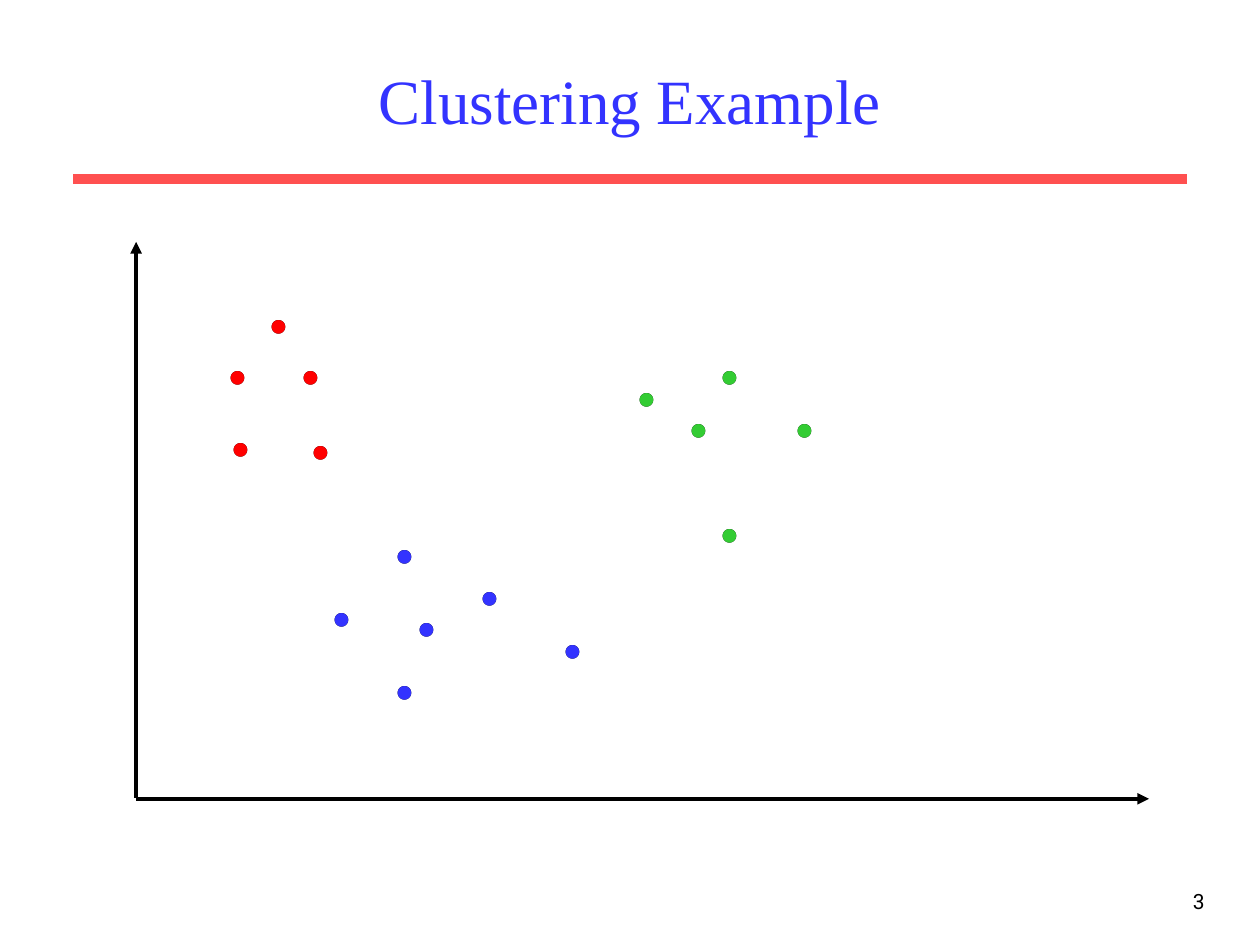
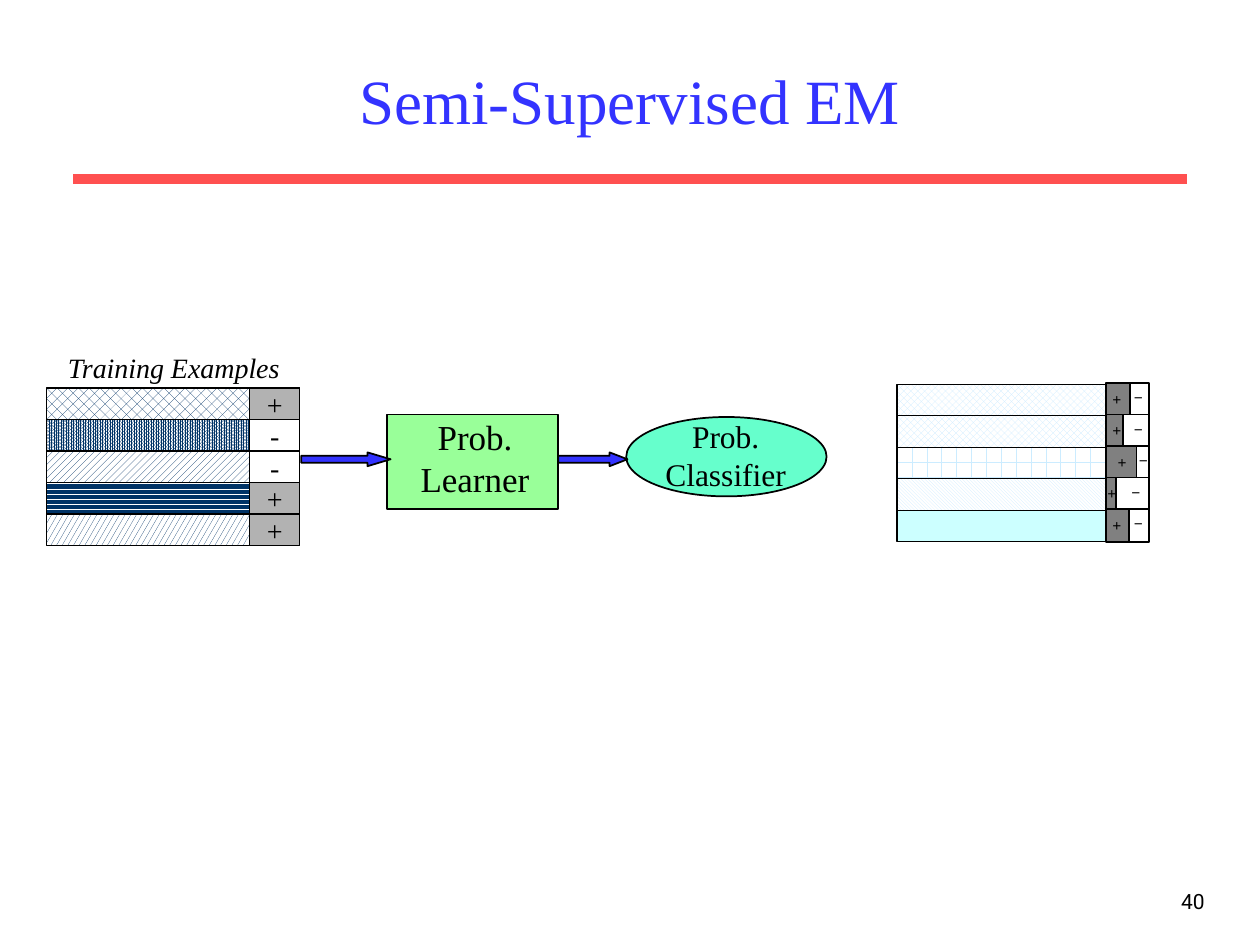
from pptx import Presentation
from pptx.dml.color import RGBColor
from pptx.enum.dml import MSO_PATTERN as PATTERN
from pptx.enum.shapes import MSO_CONNECTOR as CONNECTOR, MSO_SHAPE as SHAPE
from pptx.enum.text import MSO_ANCHOR as ANCHOR, PP_ALIGN as ALIGN
from pptx.oxml.ns import qn
from pptx.util import Inches, Pt
from lxml.etree import SubElement

BLACK = RGBColor(0x00, 0x00, 0x00)
WHITE = RGBColor(0xFF, 0xFF, 0xFF)
BLUE = RGBColor(0x33, 0x33, 0xFF)
RED = RGBColor(0xFF, 0x00, 0x00)
GREEN = RGBColor(0x33, 0xCC, 0x33)
BAND = RGBColor(0xFF, 0x50, 0x50)
NAVY = RGBColor(0x00, 0x33, 0x66)
PALE_BLUE = RGBColor(0xCC, 0xEC, 0xFF)
PALE_CYAN = RGBColor(0xCC, 0xFF, 0xFF)
LIGHT_GREY = RGBColor(0xB2, 0xB2, 0xB2)
DARK_GREY = RGBColor(0x80, 0x80, 0x80)
LEARNER_GREEN = RGBColor(0x99, 0xFF, 0x99)
CLASSIFIER_TEAL = RGBColor(0x66, 0xFF, 0xCC)

SERIF = "Times New Roman"
ROW_H = 0.25

CLUSTERS = {
    RED: [(1.7, 2.65), (1.67, 2.08), (2.33, 2.67), (2.25, 2.08), (2, 1.67)],
    BLUE: [(2.5, 4), (3.67, 3.83), (3, 4.58), (4.33, 4.25), (3.17, 4.08),
           (3, 3.5)],
    GREEN: [(4.92, 2.25), (6.17, 2.5), (5.33, 2.5), (5.58, 2.08),
            (5.58, 3.33)],
}

# Preset pattern name and label
TRAINING_EXAMPLES = [
    ("pct40", "+"),
    ("pct90", "-"),
    ("wdUpDiag", "-"),
    ("dkHorz", "+"),
    ("lgConfetti", "+"),
]

# Preset pattern name, x of the +/− split, left edges of the "+" and "−" labels
SOFT_LABELS = [
    ("lgCheck", 8.97, 8.73, 8.9),
    ("openDmnd", 8.91, 8.73, 8.9),
    ("horzBrick", 9.02, 8.77, 8.94),
    ("dkDnDiag", 8.86, 8.69, 8.88),
    (None, 8.96, 8.73, 8.9),
]


def write(tf, text, size=16, color=BLACK, font=SERIF, align=ALIGN.CENTER,
          anchor=ANCHOR.TOP, bold=False, italic=False, wrap=False):
    """Fill a text frame, one paragraph for each line of text."""
    tf.word_wrap = wrap
    tf.vertical_anchor = anchor
    for i, line in enumerate(text.split("\n")):
        p = tf.add_paragraph() if i else tf.paragraphs[0]
        p.alignment = align
        r = p.add_run()
        r.text = line
        r.font.name = font
        r.font.size = Pt(size)
        r.font.color.rgb = color
        r.font.bold = bold
        r.font.italic = italic


def add_text(slide, x, y, w, h, text, **fmt):
    box = slide.shapes.add_textbox(Inches(x), Inches(y), Inches(w), Inches(h))
    write(box.text_frame, text, **fmt)


def add_box(slide, x, y, w, h, color, kind=SHAPE.RECTANGLE, pattern=None,
            line_width=0.75):
    """Add an outlined shape with a solid fill, or a pattern on white."""
    sp = slide.shapes.add_shape(kind, Inches(x), Inches(y), Inches(w), Inches(h))
    sp.shadow.inherit = False
    if pattern is None:
        sp.fill.solid()
        sp.fill.fore_color.rgb = color
    else:
        sp.fill.patterned()
        sp.fill.pattern = PATTERN.from_xml(pattern)
        sp.fill.fore_color.rgb = color
        sp.fill.back_color.rgb = WHITE
    sp.line.color.rgb = BLACK
    sp.line.width = Pt(line_width)
    return sp


def add_line(slide, x1, y1, x2, y2, color, width, arrow=False):
    line = slide.shapes.add_connector(
        CONNECTOR.STRAIGHT, Inches(x1), Inches(y1), Inches(x2), Inches(y2))
    line.line.color.rgb = color
    line.line.width = Pt(width)
    if arrow:
        SubElement(line.get_or_add_ln(), qn("a:tailEnd"), type="triangle")
    SubElement(line.element.spPr, qn("a:effectLst"))


def add_block_arrow(slide, x, w, head):
    arrow = add_box(slide, x, 3.59, w, 0.11, BLUE, SHAPE.RIGHT_ARROW,
                    line_width=1)
    arrow.adjustments[1] = head


def add_slide(prs, title, number):
    """Add a slide with the shared title, band and page number."""
    slide = prs.slides.add_slide(prs.slide_layouts[5])
    add_line(slide, 0.58, 1.42, 9.42, 1.42, BAND, 6)
    sp = slide.shapes.title
    sp.left, sp.top = Inches(0.75), Inches(0.25)
    sp.width, sp.height = Inches(8.5), Inches(1.08)
    write(sp.text_frame, title, size=36, color=BLUE, anchor=ANCHOR.MIDDLE,
          wrap=True)
    add_text(slide, 7.58, 7, 2.08, 0.5, str(number), size=12, font="Roboto",
             align=ALIGN.RIGHT, wrap=True)
    return slide


def add_dot(slide, x, y, color):
    """Add a coloured point on a black one, which gives it a dark rim."""
    for layer in (BLACK, color):
        add_text(slide, x, y, 0.43, 1.2, ".", size=66, color=layer)


def add_training_examples(slide):
    add_text(slide, 0.43, 2.73, 1.9, 0.37, "Training Examples", italic=True)
    for i, (pattern, label) in enumerate(TRAINING_EXAMPLES):
        y = 3.08 + i * ROW_H
        add_box(slide, 0.37, y, 2.01, ROW_H, NAVY, pattern=pattern)
        cell = add_box(slide, 1.98, y, 0.4, ROW_H,
                       LIGHT_GREY if label == "+" else WHITE)
        write(cell.text_frame, label, italic=True, anchor=ANCHOR.MIDDLE)


def add_soft_labels(slide):
    """Add the examples whose labels are split by probability."""
    left, right = 8.78, 9.12
    for i, (pattern, split, plus_x, minus_x) in enumerate(SOFT_LABELS):
        y = 3.04 + i * ROW_H
        add_box(slide, 7.12, y + 0.01, 1.67, ROW_H,
                PALE_BLUE if pattern else PALE_CYAN, pattern=pattern)
        add_box(slide, left, y, split - left, 0.26, DARK_GREY, line_width=1)
        add_box(slide, split, y, right - split, 0.26, WHITE, line_width=1)
        add_text(slide, plus_x, y, 0.27, 0.25, "+", size=9, bold=True)
        add_text(slide, minus_x, y - 0.01, 0.27, 0.25, "−", size=9, bold=True)


def build_clustering(prs):
    slide = add_slide(prs, "Clustering Example", 3)
    add_line(slide, 1.08, 6.33, 1.08, 1.92, BLACK, 2.25, arrow=True)
    add_line(slide, 1.08, 6.34, 9.12, 6.34, BLACK, 2.25, arrow=True)
    for color, points in CLUSTERS.items():
        for x, y in points:
            add_dot(slide, x, y, color)


def build_semi_supervised(prs):
    slide = add_slide(prs, "Semi-Supervised EM", 40)
    add_training_examples(slide)
    add_box(slide, 3.07, 3.29, 1.36, 0.75, LEARNER_GREEN, line_width=1)
    add_text(slide, 3.23, 3.25, 1.08, 0.77, "Prob. Learner", size=20, wrap=True)
    add_soft_labels(slide)
    add_block_arrow(slide, 2.39, 0.71, 1.67)
    add_box(slide, 4.97, 3.31, 1.59, 0.63, CLASSIFIER_TEAL, SHAPE.OVAL,
            line_width=1)
    add_text(slide, 5.18, 3.26, 1.16, 0.7, "Prob.\nClassifier", size=18)
    add_block_arrow(slide, 4.43, 0.55, 1.29)


def main():
    prs = Presentation()
    prs.slide_width, prs.slide_height = Inches(10), Inches(7.5)
    build_clustering(prs)
    build_semi_supervised(prs)
    prs.save("out.pptx")


if __name__ == "__main__":
    main()
